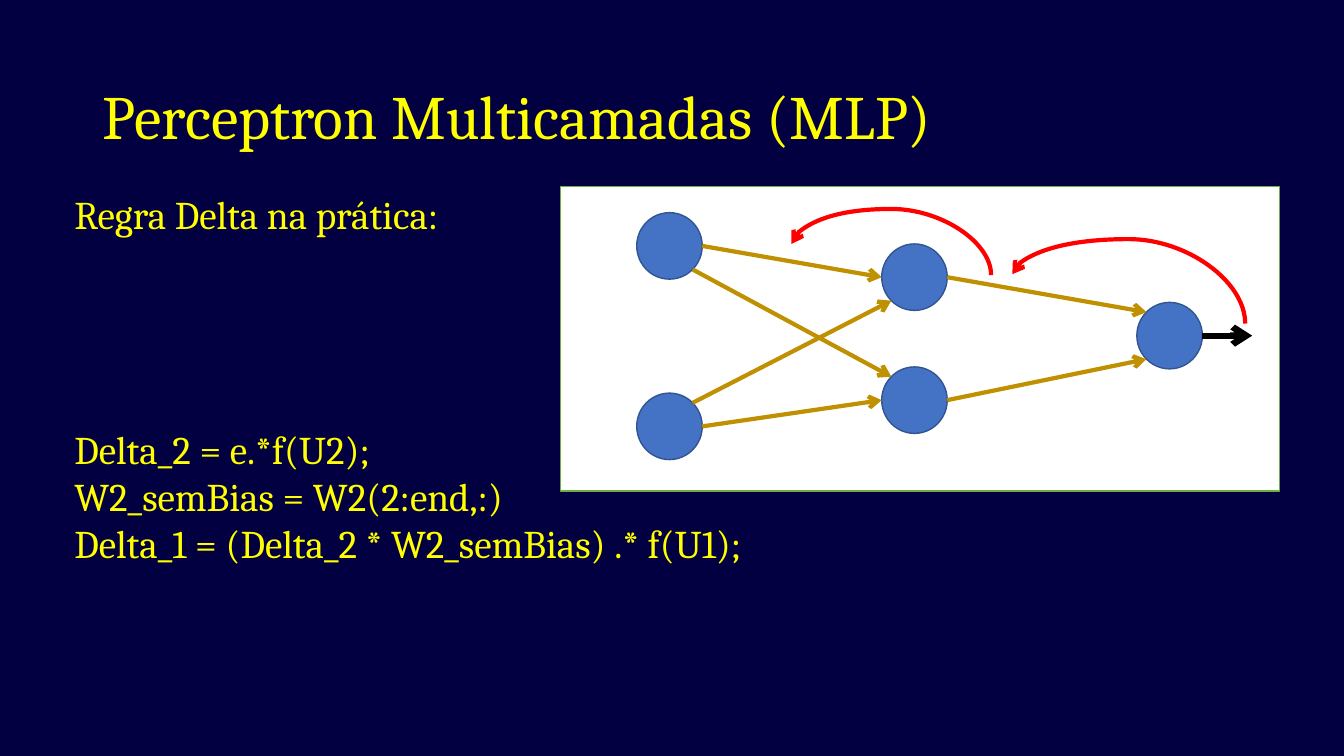
from math import sqrt

from pptx import Presentation
from pptx.dml.color import RGBColor
from pptx.enum.shapes import MSO_CONNECTOR as Link, MSO_SHAPE as Shape
from pptx.enum.text import MSO_ANCHOR as Anchor, PP_ALIGN as Align
from pptx.oxml.ns import qn
from pptx.util import Inches, Pt
from lxml.etree import SubElement

NAVY = RGBColor(0x02, 0x00, 0x41)
YELLOW = RGBColor(0xFF, 0xFF, 0x00)
WHITE = RGBColor(0xFF, 0xFF, 0xFF)
GREEN = RGBColor(0x70, 0xAD, 0x47)
BLUE = RGBColor(0x44, 0x72, 0xC4)
DARK_BLUE = RGBColor(0x32, 0x54, 0x91)
GOLD = RGBColor(0xBF, 0x90, 0x00)
RED = RGBColor(0xFF, 0x00, 0x00)
BLACK = RGBColor(0x00, 0x00, 0x00)

FONT = "Cambria"
NEURON_WIDTH, NEURON_HEIGHT = 0.65, 0.66
RULE_LINES = [
    "Regra Delta na prática:",
    "Delta_2 = e.*f(U2);",
    "W2_semBias = W2(2:end,:)",
    "Delta_1 = (Delta_2 * W2_semBias) .* f(U1);",
]


def place(shape, left, top, width, height):
    shape.left, shape.top = Inches(left), Inches(top)
    shape.width, shape.height = Inches(width), Inches(height)


def style_text(para, size, align):
    para.alignment = align
    para.font.name = FONT
    para.font.size = Pt(size)
    para.font.color.rgb = YELLOW


def add_title(page, text):
    title = page.shapes.title
    place(title, 0.92, 0.55, 8.78, 1.28)
    title.text_frame.text = text
    title.text_frame.vertical_anchor = Anchor.MIDDLE
    para = title.text_frame.paragraphs[0]
    para.line_spacing = 0.9
    style_text(para, 44, Align.LEFT)


def add_rule_text(page, lines):
    box = page.shapes.add_textbox(Inches(0.64), Inches(1.84), Inches(12.06), Inches(4.34))
    frame = box.text_frame
    frame.word_wrap = True
    frame.text = "\n".join(lines)
    for para in frame.paragraphs:
        style_text(para, 28, Align.JUSTIFY)
    # The code starts well below the heading
    frame.paragraphs[1].space_before = Pt(134)


def add_filled(page, kind, left, top, width, height, fill, outline):
    shape = page.shapes.add_shape(kind, Inches(left), Inches(top), Inches(width), Inches(height))
    shape.shadow.inherit = False
    shape.fill.solid()
    shape.fill.fore_color.rgb = fill
    shape.line.color.rgb = outline
    shape.line.width = Pt(1)


def add_neuron(page, center):
    x, y = center
    add_filled(page, Shape.OVAL, x - NEURON_WIDTH / 2, y - NEURON_HEIGHT / 2,
               NEURON_WIDTH, NEURON_HEIGHT, BLUE, DARK_BLUE)


def rim(center, across, down=0):
    """Point on a neuron's edge; across and down are -1, 0 or 1."""
    scale = 1 / sqrt(across ** 2 + down ** 2)
    return (center[0] + across * scale * NEURON_WIDTH / 2,
            center[1] + down * scale * NEURON_HEIGHT / 2)


def add_arrow(page, start, end, color, width=3, kind=Link.STRAIGHT):
    arrow = page.shapes.add_connector(kind, *(Inches(value) for value in (*start, *end)))
    arrow.line.color.rgb = color
    arrow.line.width = Pt(width)
    SubElement(arrow.line._get_or_add_ln(), qn("a:tailEnd"), type="arrow")
    SubElement(arrow._element.spPr, qn("a:effectLst"))
    return arrow


def add_back_arc(page, start, end, bend):
    """Curve rising from start and dropping to end, drawn as a quarter-turned connector."""
    run, rise = start[0] - end[0], start[1] - end[1]
    x, y = (start[0] + end[0]) / 2, (start[1] + end[1]) / 2
    arc = add_arrow(page, (x - rise / 2, y + run / 2), (x + rise / 2, y - run / 2),
                    RED, kind=Link.CURVE)
    properties = arc._element.spPr
    properties.find(qn("a:xfrm")).set("rot", str(270 * 60000))
    guides = properties.find(qn("a:prstGeom")).find(qn("a:avLst"))
    SubElement(guides, qn("a:gd"), name="adj1", fmla=f"val {round(bend * 100000)}")


def add_network(page):
    add_filled(page, Shape.RECTANGLE, 5.56, 1.85, 7.13, 3.02, WHITE, GREEN)

    # Neurons, by their centres
    inputs = [(6.64, 2.44), (6.64, 4.23)]
    hidden = [(9.07, 2.75), (9.07, 3.97)]
    output = (11.6, 3.33)
    for center in (*inputs, *hidden, output):
        add_neuron(page, center)

    # Forward weights: level pairs, then crossing pairs, then the output layer
    for source, target, down in zip(inputs, hidden, (1, -1)):
        add_arrow(page, rim(source, 1), rim(target, -1), GOLD)
        other = hidden[1] if target is hidden[0] else hidden[0]
        add_arrow(page, rim(source, 1, down), rim(other, -1, -down), GOLD)
        add_arrow(page, rim(target, 1), rim(output, -1, -down), GOLD)
    add_arrow(page, rim(output, 1), (12.42, output[1]), BLACK, 4.5)

    # Error sent backwards
    add_back_arc(page, (12.35, 3.21), (10.04, 2.72), 1.71)
    add_back_arc(page, (9.83, 2.73), (7.85, 2.42), 2.12)


def main():
    deck = Presentation()
    deck.slide_width, deck.slide_height = Inches(13.33), Inches(7.5)
    page = deck.slides.add_slide(deck.slide_layouts.get_by_name("Title Only"))
    page.background.fill.solid()
    page.background.fill.fore_color.rgb = NAVY

    add_title(page, "Perceptron Multicamadas (MLP)")
    add_rule_text(page, RULE_LINES)
    add_network(page)
    deck.save("out.pptx")


if __name__ == "__main__":
    main()
